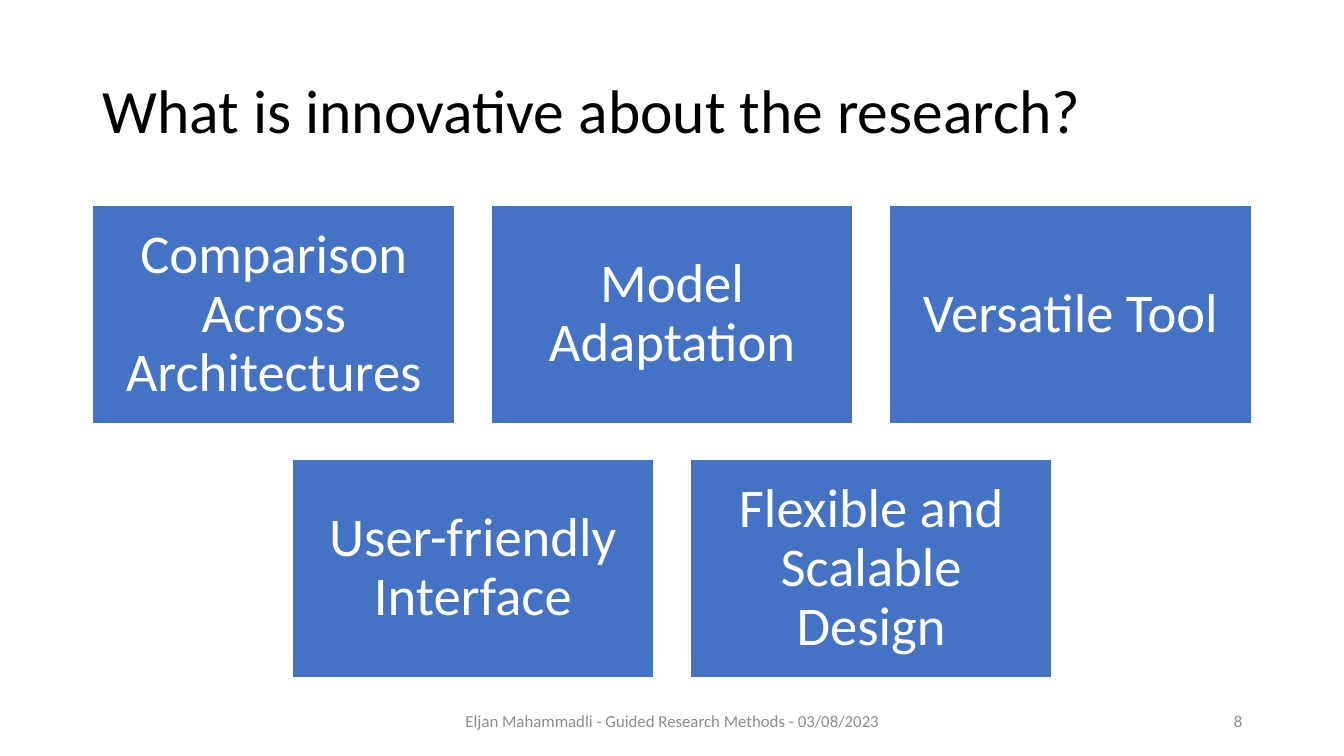
from pptx import Presentation
from pptx.dml.color import RGBColor
from pptx.enum.shapes import MSO_SHAPE
from pptx.enum.text import MSO_ANCHOR, MSO_AUTO_SIZE, PP_ALIGN
from pptx.util import Inches, Pt

COLORS = {"title": "000000", "card": "4472C4", "light": "FFFFFF", "footer": "8C8C8C"}
SLIDE_WIDTH, SLIDE_HEIGHT = 13.33, 7.5
CARD_WIDTH, CARD_HEIGHT = 3.59, 2.16
COLUMN_PITCH, ROW_PITCH = 3.95, 2.52
CARDS_TOP = 2.04
INNOVATIONS = [
    ["Comparison Across Architectures", "Model Adaptation", "Versatile Tool"],
    ["User-friendly Interface", "Flexible and Scalable Design"],
]


class SlideBuilder:
    font = "Calibri"

    def __init__(self, slide):
        self.slide = slide

    def color(self, key):
        return RGBColor.from_string(COLORS[key])

    def add_text(self, frame, text, size, color, align, spacing=1.0):
        frame.word_wrap = True
        frame.auto_size = MSO_AUTO_SIZE.NONE
        frame.vertical_anchor = MSO_ANCHOR.MIDDLE
        paragraph = frame.paragraphs[0]
        paragraph.alignment = align
        paragraph.line_spacing = spacing
        run = paragraph.add_run()
        run.text = text
        run.font.name = self.font
        run.font.size = Pt(size)
        run.font.color.rgb = self.color(color)

    def title(self, text, left, top, width, height):
        heading = self.slide.shapes.title
        heading.left, heading.top = Inches(left), Inches(top)
        heading.width, heading.height = Inches(width), Inches(height)
        self.add_text(heading.text_frame, text, 44, "title", PP_ALIGN.LEFT, 0.9)

    def card(self, text, left, top):
        card = self.slide.shapes.add_shape(
            MSO_SHAPE.RECTANGLE,
            Inches(left), Inches(top), Inches(CARD_WIDTH), Inches(CARD_HEIGHT),
        )
        card.shadow.inherit = False
        card.fill.solid()
        card.fill.fore_color.rgb = self.color("card")
        card.line.color.rgb = self.color("light")
        card.line.width = Pt(1)
        frame = card.text_frame
        frame.margin_left = frame.margin_right = Inches(0.16)
        frame.margin_top = frame.margin_bottom = Inches(0.16)
        self.add_text(frame, text, 39, "light", PP_ALIGN.CENTER, 0.9)

    def card_row(self, labels, top):
        row_width = CARD_WIDTH + COLUMN_PITCH * (len(labels) - 1)
        left = (SLIDE_WIDTH - row_width) / 2
        for column, label in enumerate(labels):
            self.card(label, left + column * COLUMN_PITCH, top)

    def footer(self, text, left, width, align):
        footer = self.slide.shapes.add_textbox(
            Inches(left), Inches(6.95), Inches(width), Inches(0.4)
        )
        self.add_text(footer.text_frame, text, 12, "footer", align)


def main():
    presentation = Presentation()
    presentation.slide_width = Inches(SLIDE_WIDTH)
    presentation.slide_height = Inches(SLIDE_HEIGHT)
    builder = SlideBuilder(presentation.slides.add_slide(presentation.slide_layouts[5]))
    builder.title("What is innovative about the research?", 0.92, 0.4, 11.5, 1.45)
    for row, labels in enumerate(INNOVATIONS):
        builder.card_row(labels, CARDS_TOP + row * ROW_PITCH)
    builder.footer(
        "Eljan Mahammadli - Guided Research Methods - 03/08/2023",
        4.42, 4.5, PP_ALIGN.CENTER,
    )
    builder.footer("8", 9.42, 3, PP_ALIGN.RIGHT)
    presentation.save("out.pptx")


if __name__ == "__main__":
    main()
